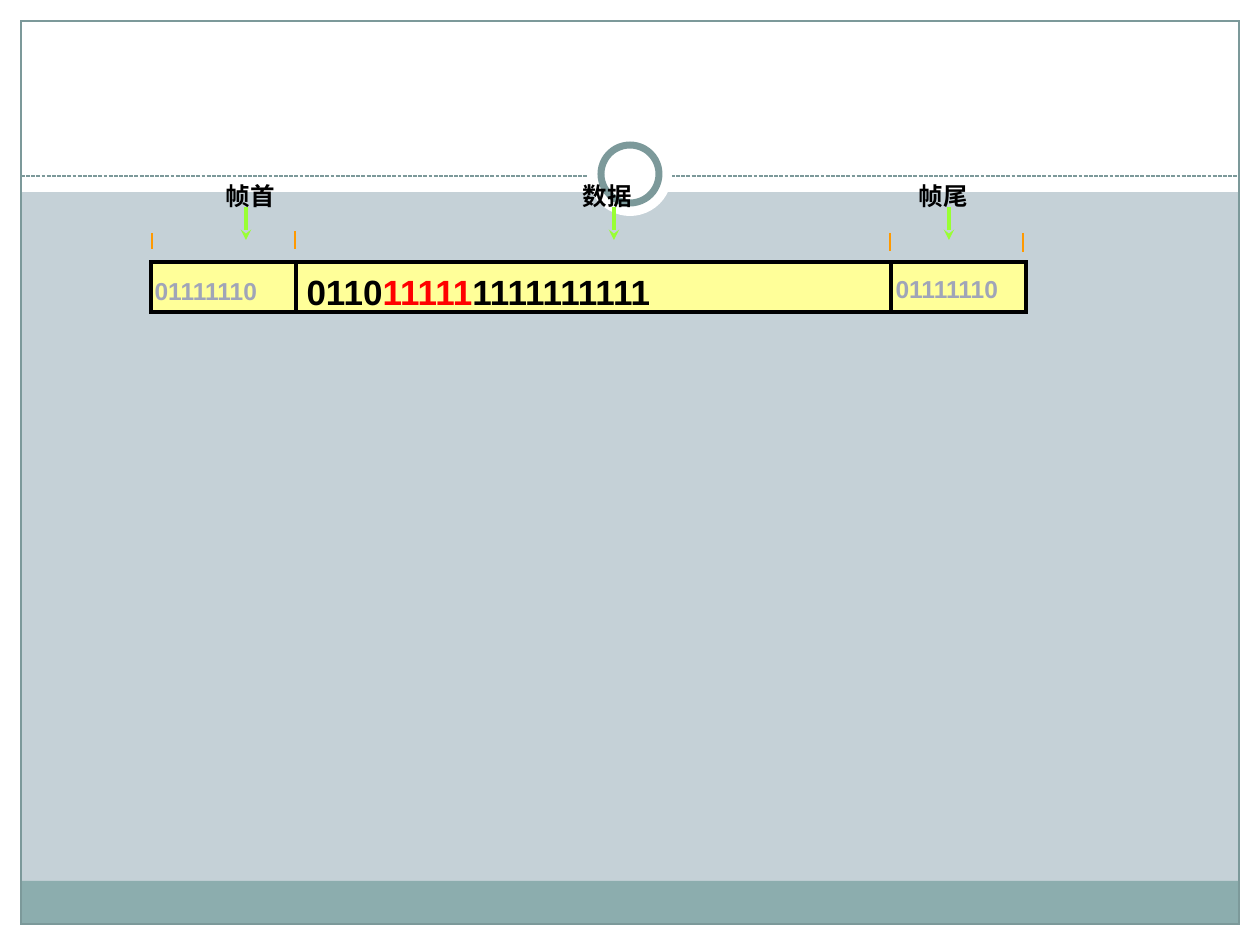
from lxml import etree
from pptx import Presentation
from pptx.dml.color import RGBColor
from pptx.enum.dml import MSO_LINE
from pptx.enum.shapes import MSO_CONNECTOR, MSO_SHAPE
from pptx.enum.text import MSO_AUTO_SIZE
from pptx.oxml.ns import qn
from pptx.util import Emu, Pt

RECT, OVAL = MSO_SHAPE.RECTANGLE, MSO_SHAPE.OVAL
LINE, DASH = MSO_CONNECTOR.STRAIGHT, MSO_LINE.SQUARE_DOT
FIT = MSO_AUTO_SIZE.SHAPE_TO_FIT_TEXT

WHITE = RGBColor(0xFF, 0xFF, 0xFF)
BLACK = RGBColor(0, 0, 0)
RED = RGBColor(0xFF, 0, 0)
MIST = RGBColor(0xC5, 0xD1, 0xD7)
TEAL = RGBColor(0x8C, 0xAD, 0xAE)
SLATE = RGBColor(0x7C, 0x99, 0x9A)
YELLOW = RGBColor(0xFF, 0xFF, 0x99)
GREEN = RGBColor(0x99, 0xFF, 0x33)
ORANGE = RGBColor(0xFF, 0x99, 0x00)
GRAY = RGBColor(0xA0, 0xA5, 0xB8)

# Content, in px at 126 px to the inch
PX = 914400 // 126
WIDE, HIGH = 1260, 945
EDGE = 21
FLAG = [("01111110", GRAY)]
DATA = [("0110", BLACK), ("11111", RED), ("1111111111", BLACK)]
# label, left, width, arrow x
LABELS = [("帧首", 214, 80, 246), ("数据", 571, 82, 614), ("帧尾", 907, 95, 949)]
# runs, left, top, width, height, size
FIELDS = [
    (FLAG, 143, 270, 134, 40, 14),
    (DATA, 295, 265, 582, 53, 20),
    (FLAG, 884, 268, 134, 40, 14),
]
# x, top, bottom
TICKS = [(152, 233, 249), (295, 231, 249), (890, 233, 251), (1023, 233, 252)]
SPLITS = [296, 891]

prs = Presentation()
prs.slide_width, prs.slide_height = Emu(WIDE * PX), Emu(HIGH * PX)
slide = prs.slides.add_slide(prs.slide_layouts[6])
slide.background.fill.solid()
slide.background.fill.fore_color.rgb = MIST


def px(*vals):
    return [Emu(v * PX) for v in vals]


def add_box(kind, x, y, w, h, fill=None, line=None, weight=1):
    box = slide.shapes.add_shape(kind, *px(x, y, w, h))
    box.shadow.inherit = False
    if fill is None:
        box.fill.background()
    else:
        box.fill.solid()
        box.fill.fore_color.rgb = fill
    if line is None:
        box.line.fill.background()
    else:
        box.line.color.rgb = line
        box.line.width = Pt(weight)
        join = etree.SubElement(box.line._get_or_add_ln(), qn("a:miter"))
        join.set("lim", "800000")


def add_line(x1, y1, x2, y2, color, weight, dash=None, head=None):
    rule = slide.shapes.add_connector(LINE, *px(x1, y1, x2, y2))
    rule.line.color.rgb = color
    rule.line.width = Pt(weight)
    if dash is not None:
        rule.line.dash_style = dash
    if head:
        tail = etree.SubElement(rule.line._get_or_add_ln(), qn("a:tailEnd"))
        tail.set("type", head)
    etree.SubElement(rule._element.spPr, qn("a:effectLst"))


def add_text(runs, x, y, w, h, size=14):
    frame = slide.shapes.add_textbox(*px(x, y, w, h)).text_frame
    frame.word_wrap = True
    frame.auto_size = FIT
    frame.margin_left = frame.margin_right = Pt(6.6)
    frame.margin_top = frame.margin_bottom = Pt(3.2)
    for text, color in runs:
        run = frame.paragraphs[0].add_run()
        run.text = text
        run.font.name = "Arial"
        run.font.size = Pt(size)
        run.font.bold = True
        run.font.color.rgb = color


# Page frame
INNER, LOW = WIDE - 2 * EDGE, HIGH - 2 * EDGE
for band in [(0, HIGH - EDGE, WIDE, EDGE), (0, 0, WIDE, 192),
             (0, 0, EDGE, HIGH), (WIDE - EDGE, 0, EDGE, HIGH)]:
    add_box(RECT, *band, fill=WHITE)
add_box(RECT, EDGE, 881, INNER, 43, fill=TEAL)
add_box(RECT, EDGE, EDGE, INNER, LOW, line=SLATE, weight=0.75)
add_line(EDGE, 176, WIDE - EDGE, 176, SLATE, 0.75, dash=DASH)

# Ring at the head
for side, line in [(84, None), (58, SLATE)]:
    add_box(OVAL, (WIDE - side) // 2, 174 - side // 2, side, side,
            fill=WHITE, line=line, weight=4)

# Frame bar with its fields
add_box(RECT, 151, 262, 875, 50, fill=YELLOW, line=BLACK, weight=2)
for x in SPLITS:
    add_line(x, 263, x, 312, BLACK, 2)
for runs, x, y, w, h, size in FIELDS:
    add_text(runs, x, y, w, h, size=size)

# Field limits
for x, top, low in TICKS:
    add_line(x, top, x, low, ORANGE, 1)

# Labels and arrows
for label, x, w, mid in LABELS:
    add_text([(label, BLACK)], x, 175, w, 40)
    add_line(mid, 207, mid, 240, GREEN, 2, head="stealth")

prs.save("out.pptx")
